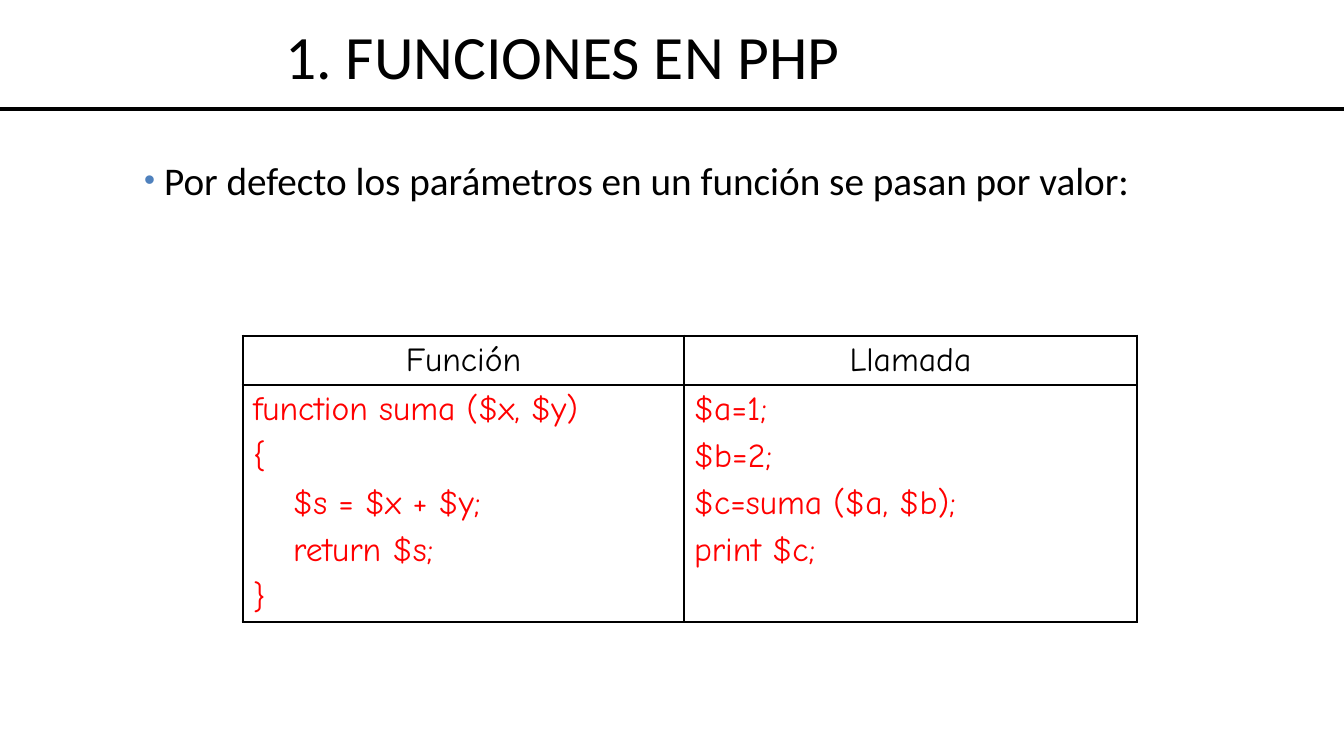
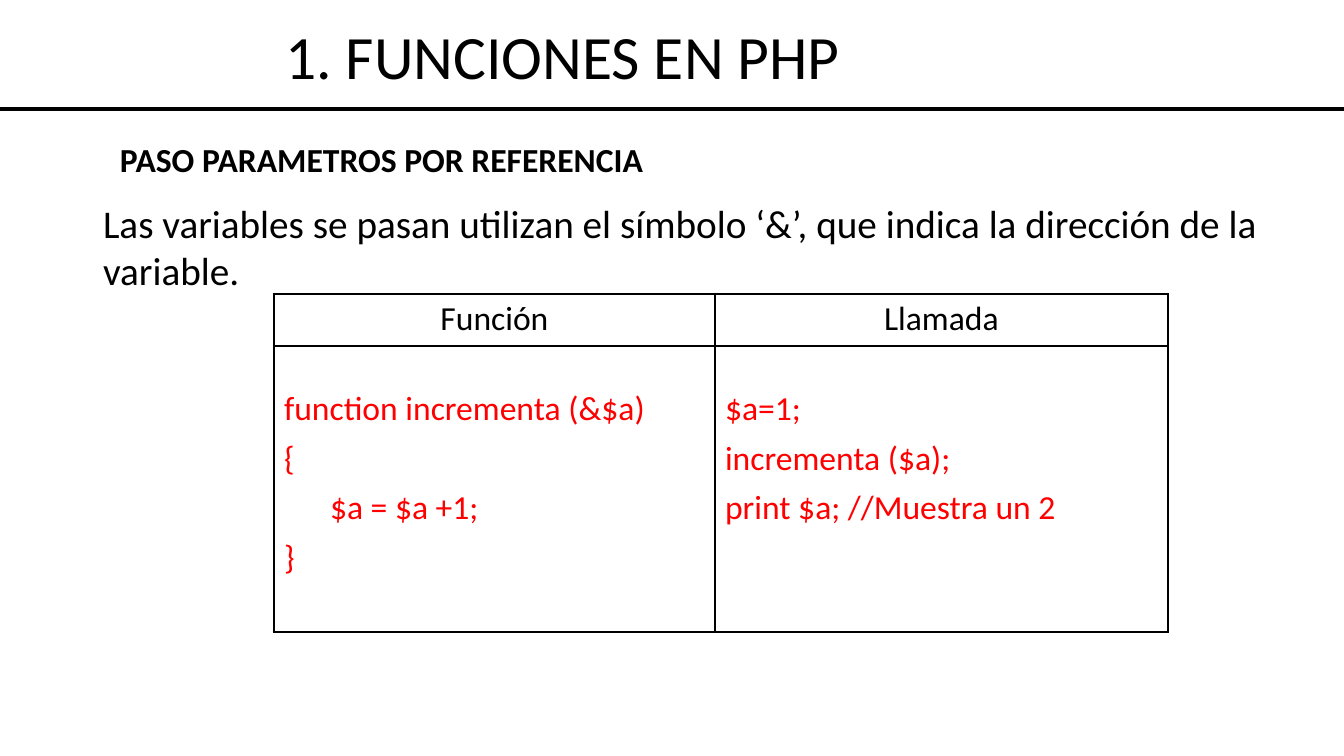
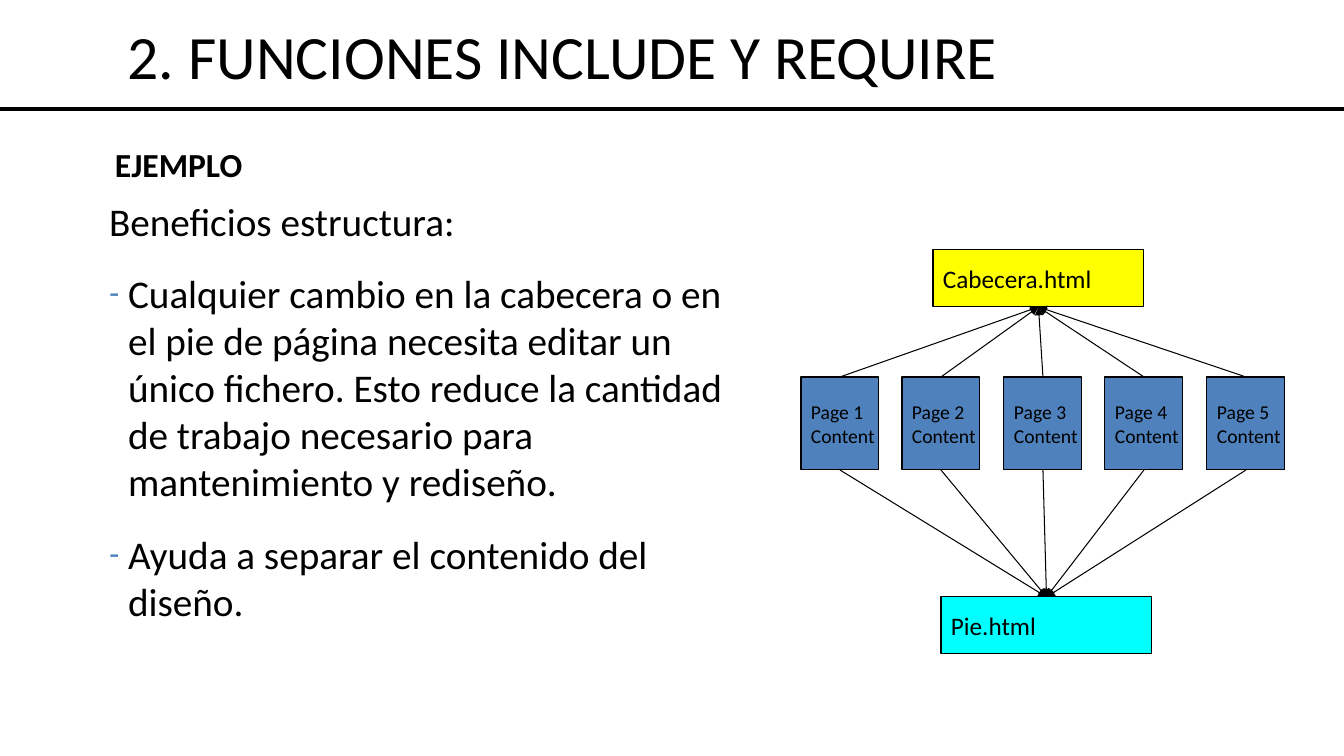
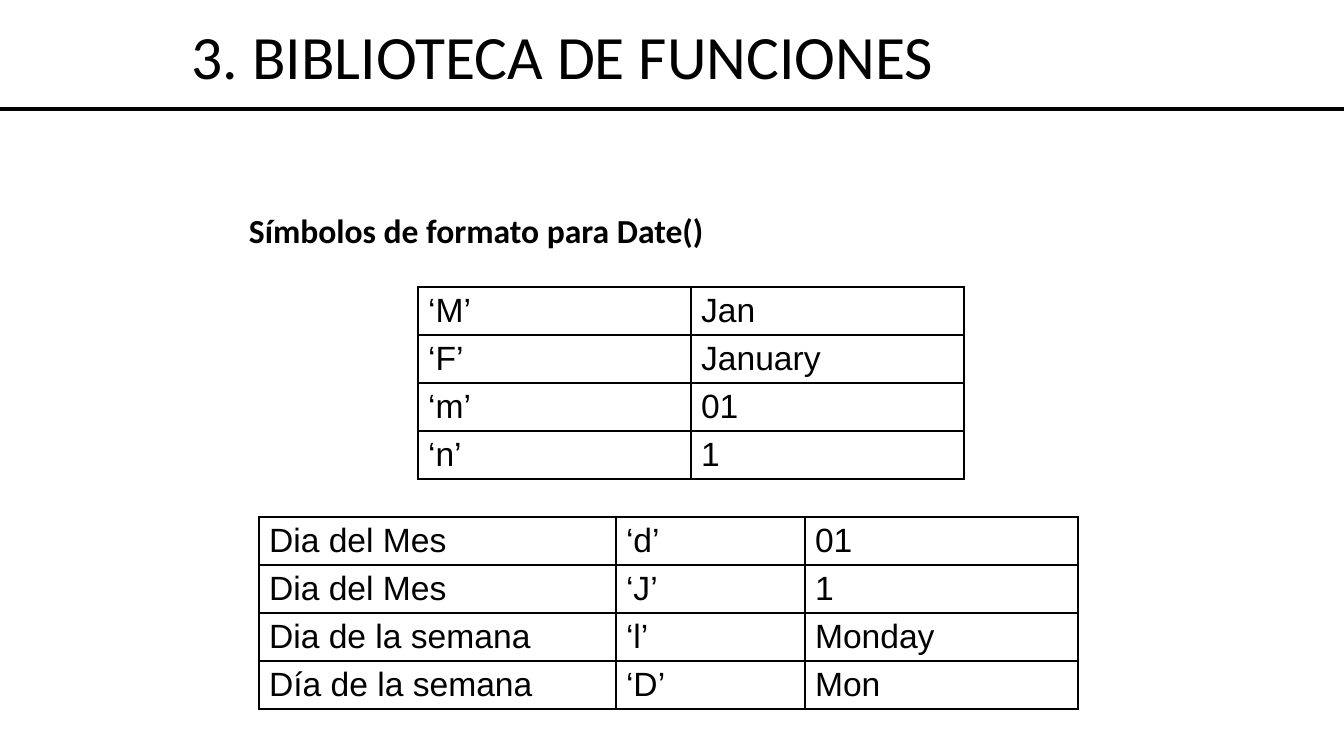
from dataclasses import dataclass
from typing import NamedTuple

from lxml.etree import SubElement as Sub
from pptx import Presentation
from pptx.dml.color import RGBColor
from pptx.enum.shapes import MSO_CONNECTOR as Link, MSO_SHAPE as Form
from pptx.enum.text import MSO_ANCHOR as Anchor, MSO_AUTO_SIZE as Fit, PP_ALIGN as Align
from pptx.oxml.ns import qn
from pptx.util import Emu, Pt

# Shared look
SCALE = 914400 / 100.8
WIDE, HIGH = 1344, 756
BLACK, RED, BLUE = "000000", "FF0000", "4F81BD"
YELLOW, CYAN = "FFFF00", "00FFFF"
SANS, COMIC, ARIAL = "Calibri", "Comic Neue", "Arial"
THICK, THIN = 2.25, 1


class Box(NamedTuple):
    left: int
    top: int
    width: int
    height: int


class Line(NamedTuple):
    text: str
    indent: int = 0
    bullet: str = ""


@dataclass
class Grid:
    left: int
    top: int
    cols: list[int]
    rows: list[int]
    cells: list[list[list[Line]]]
    font: str
    code: bool = False  # centred header row above red code
    pad: int = 5        # top margin of the code cells


def px(n: float) -> Emu:
    return Emu(round(n * SCALE))


def place(box: Box) -> list[Emu]:
    return [px(n) for n in box]


def paint(value: str) -> RGBColor:
    return RGBColor.from_string(value)


def mark(para, line: Line) -> None:
    """Set indent and bullet of a paragraph."""
    props = para._p.get_or_add_pPr()
    props.set("marL", str(px(line.indent)))
    props.set("indent", str(-px(line.indent) if line.bullet else 0))
    if not line.bullet:
        Sub(props, qn("a:buNone"))
        return
    Sub(Sub(props, qn("a:buClr")), qn("a:srgbClr"), val=BLUE)
    Sub(props, qn("a:buSzPct"), val="80000")
    Sub(props, qn("a:buFont"), typeface=ARIAL)
    Sub(props, qn("a:buChar"), char=line.bullet)


def write(frame, lines: list[Line], *, size: float, font: str = SANS,
          color: str = BLACK, bold: bool = False, align: Align = Align.LEFT,
          before: float = 0, after: float = 0, pitch: float = 1) -> None:
    for i, line in enumerate(lines):
        para = frame.add_paragraph() if i else frame.paragraphs[0]
        para.alignment, para.line_spacing = align, pitch
        para.space_before, para.space_after = Pt(before), Pt(after)
        mark(para, line)
        run = para.add_run()
        run.text = line.text
        run.font.size, run.font.name, run.font.bold = Pt(size), font, bold
        run.font.color.rgb = paint(color)


def fill(holder, box: Box, lines: list[Line], *, anchor: Anchor = Anchor.TOP, **style) -> None:
    """Move a placeholder or text box and write into it."""
    holder.left, holder.top, holder.width, holder.height = place(box)
    frame = holder.text_frame
    frame.word_wrap, frame.auto_size = True, Fit.NONE
    frame.vertical_anchor = anchor
    write(frame, lines, **style)


def stroke(link, width: float) -> None:
    link.line.color.rgb = paint(BLACK)
    link.line.width = Pt(width)
    Sub(link._element.spPr, qn("a:effectLst"))


def start(title: str, layout: int = 1):
    """Add a slide with its title and the rule below it."""
    slide = deck.slides.add_slide(deck.slide_layouts[layout])
    fill(slide.shapes.title, Box(0, 0, 1126, 98), [Line(title)], size=44,
         anchor=Anchor.BOTTOM, align=Align.CENTER, pitch=0.9)
    rule = slide.shapes.add_connector(Link.STRAIGHT, 0, px(109), px(WIDE), px(109))
    stroke(rule, 3.5)
    return slide


def body(slide, box: Box, lines: list[Line], **style) -> None:
    fill(slide.placeholders[1], box, lines, size=28, **style)


def head(slide, box: Box, text: str) -> None:
    fill(slide.shapes.add_textbox(*place(box)), box, [Line(text)], size=24, bold=True)


def edge(cell, side: str, width: float) -> None:
    line = Sub(cell._tc.get_or_add_tcPr(), qn(f"a:ln{side}"), w=str(Pt(width)))
    Sub(Sub(line, qn("a:solidFill")), qn("a:srgbClr"), val=BLACK)


def draw(slide, grid: Grid) -> None:
    box = Box(grid.left, grid.top, sum(grid.cols), sum(grid.rows))
    table = slide.shapes.add_table(len(grid.rows), len(grid.cols), *place(box)).table
    table.first_row = table.horz_banding = False
    for col, width in zip(table.columns, grid.cols):
        col.width = px(width)
    for row, height in zip(table.rows, grid.rows):
        row.height = px(height)
    last, end = len(grid.rows) - 1, len(grid.cols) - 1
    for r, row in enumerate(grid.cells):
        for c, lines in enumerate(row):
            cell = table.cell(r, c)
            top = grid.code and r == 0
            thick = {"L": c == 0 or top, "R": c == end or top,
                     "T": r == 0, "B": r == last}
            for side, wide in thick.items():
                edge(cell, side, THICK if wide else THIN)
            cell.fill.background()
            red = grid.code and not top
            if red:
                cell.margin_top = px(grid.pad)
            write(cell.text_frame, lines, size=24, font=grid.font,
                  color=RED if red else BLACK, after=6 if grid.code else 0,
                  align=Align.CENTER if top else Align.LEFT)


def block(slide, box: Box, lines: list[Line], color: str, size: float):
    shape = slide.shapes.add_shape(Form.RECTANGLE, *place(box))
    shape.shadow.inherit = False
    shape.fill.solid()
    shape.fill.fore_color.rgb = paint(color)
    shape.line.color.rgb = paint(BLACK)
    shape.line.width = Pt(0.75)
    shape.text_frame.word_wrap = False
    shape.text_frame.vertical_anchor = Anchor.MIDDLE
    write(shape.text_frame, lines, size=size)
    return shape


def arrow(slide, source, out: int, target, into: int) -> None:
    link = slide.shapes.add_connector(Link.STRAIGHT, 0, 0, 0, 0)
    link.begin_connect(source, out)
    link.end_connect(target, into)
    stroke(link, 0.75)
    Sub(link.line._get_or_add_ln(), qn("a:tailEnd"), type="triangle")


def plain(*texts: str) -> list[Line]:
    return [Line(text) for text in texts]


def cells(*rows: str) -> list[list[list[Line]]]:
    return [[plain(text) for text in row.split("|")] for row in rows]


deck = Presentation()
deck.slide_width, deck.slide_height = px(WIDE), px(HIGH)
LABELS = cells("Función|Llamada")

# Slide 1: parameters by value
slide = start("1. FUNCIONES EN PHP")
body(slide, Box(134, 151, 1151, 95),
     [Line("Por defecto los parámetros en un función se pasan por valor:", 20, "•")], after=6)
total = [Line("function suma ($x, $y)"), Line("{"), Line("$s = $x + $y;", 40),
         Line("return $s;", 40), Line("}")]
usage = plain("$a=1;", "$b=2;", "$c=suma ($a, $b);", "print $c;")
draw(slide, Grid(243, 336, [441, 453], [49, 237], LABELS + [[total, usage]], COMIC, code=True))

# Slide 2: parameters by reference
slide = start("1. FUNCIONES EN PHP")
body(slide, Box(93, 194, 1196, 88), plain(
    "Las variables se pasan utilizan el símbolo ‘&’, que indica la dirección de la variable."))
step = [Line("function incrementa (&$a)"), Line("{"), Line("$a = $a +1;", 46), Line("}")]
usage = plain("$a=1;", "incrementa ($a);", "print $a; //Muestra un 2")
draw(slide, Grid(274, 294, [441, 453], [52, 286], LABELS + [[step, usage]],
                 SANS, code=True, pad=43))
head(slide, Box(110, 134, 747, 50), "PASO PARAMETROS POR REFERENCIA")

# Slide 3: shared header and footer
slide = start("2. FUNCIONES INCLUDE Y REQUIRE")
head(slide, Box(105, 139, 774, 50), "EJEMPLO")
body(slide, Box(99, 192, 663, 513), [
    Line("Beneficios estructura:"),
    Line("Cualquier cambio en la cabecera o en el pie de página necesita editar un único "
         "fichero. Esto reduce la cantidad de trabajo necesario para mantenimiento y "
         "rediseño.", 19, "-"),
    Line("Ayuda a separar el contenido del diseño.", 19, "-")], before=18)
pages = [block(slide, Box(801 + i * 203 // 2, 377, 78, 93),
               plain(f"Page {i + 1}", "Content"), BLUE, 14) for i in range(5)]
upper = block(slide, Box(933, 250, 211, 57), plain("Cabecera.html"), YELLOW, 18)
lower = block(slide, Box(941, 597, 211, 57), plain("Pie.html"), CYAN, 18)
TOP, BOTTOM = 0, 2
for page in pages:
    arrow(slide, page, TOP, upper, BOTTOM)
    arrow(slide, page, BOTTOM, lower, TOP)

# Slide 4: date symbols
slide = start("3. BIBLIOTECA DE FUNCIONES", layout=5)
head(slide, Box(239, 205, 772, 50), "Símbolos de formato para Date()")
months = cells("‘M’|Jan", "‘F’|January", "‘m’|01", "‘n’|1")
days = cells("Dia del Mes|‘d’|01", "Dia del Mes|‘J’|1",
             "Dia de la semana|‘l’|Monday", "Día de la semana|‘D’|Mon")
draw(slide, Grid(418, 287, [273, 273], [48] * 4, months, ARIAL))
draw(slide, Grid(259, 517, [357, 189, 273], [48] * 4, days, ARIAL))

deck.save("out.pptx")
